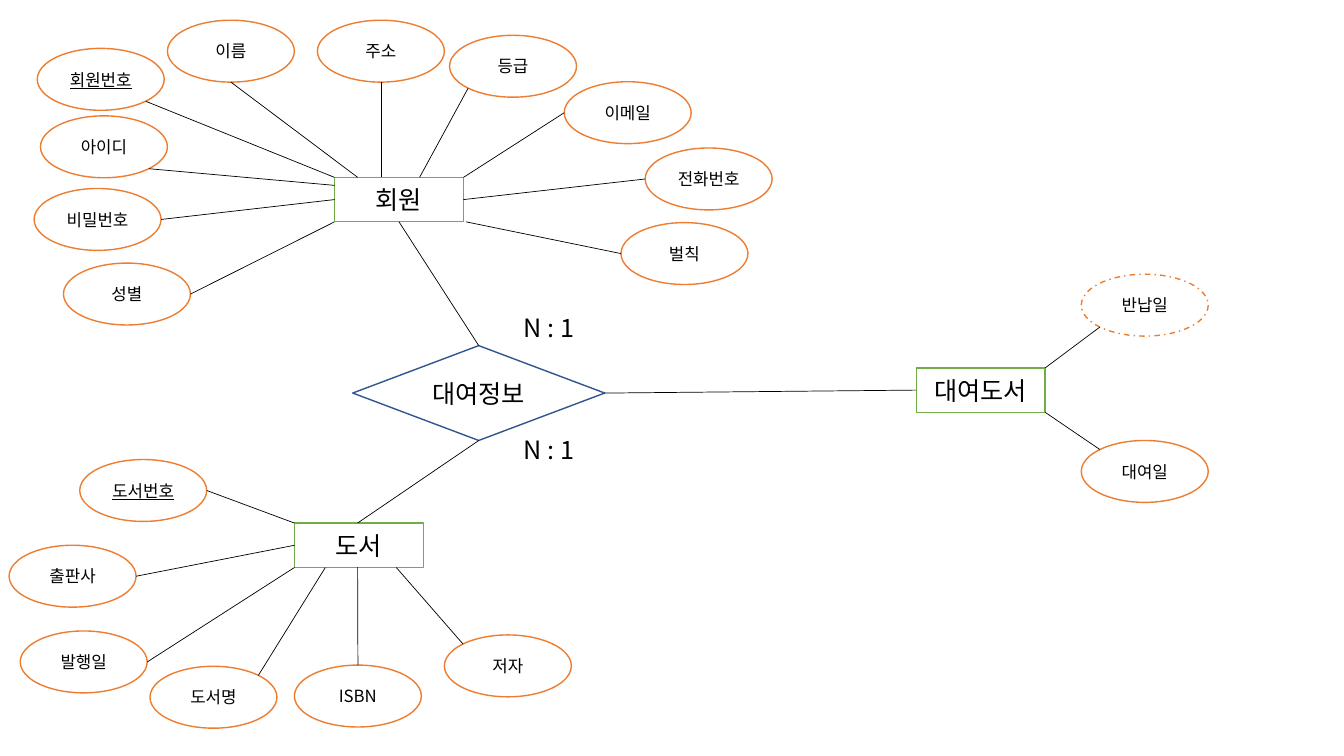
"""Build an entity-relationship diagram of a library lending system."""
from dataclasses import dataclass
from math import cos, radians, sin

from lxml.etree import SubElement
from pptx import Presentation
from pptx.dml.color import RGBColor
from pptx.enum.dml import MSO_LINE_DASH_STYLE as Dash
from pptx.enum.shapes import MSO_CONNECTOR as Connector, MSO_SHAPE as Shape
from pptx.enum.text import MSO_ANCHOR as Anchor, MSO_AUTO_SIZE as AutoSize, PP_ALIGN as Align
from pptx.oxml.ns import qn
from pptx.util import Cm, Pt

RIGHT, LOWER_RIGHT, LOWER_LEFT, BOTTOM = 0, 45, 135, 90
LEFT, UPPER_LEFT, TOP, UPPER_RIGHT = 180, 225, 270, 315

# entity: (left, top), relationship anchors, attributes
# attribute: (name, (left, top), angle on the ellipse, anchor on the entity)
ENTITIES = {
    "회원": ((8.43, 4.47), (0.5, 1), (0.5, 0), [
        ("회원번호", (0.94, 1.22), LOWER_RIGHT, (0, 0)),
        ("이름", (4.22, 0.51), BOTTOM, (0.18, 0)),
        ("아이디", (1.02, 2.92), LOWER_RIGHT, (0, 0.18)),
        ("비밀번호", (0.86, 4.75), RIGHT, (0, 0.5)),
        ("성별", (1.6, 6.63), RIGHT, (0, 1)),
        ("주소", (8, 0.51), BOTTOM, (0.36, 0)),
        ("등급", (11.33, 0.89), LOWER_LEFT, (0.66, 0)),
        ("이메일", (14.22, 2.06), LEFT, (1, 0)),
        ("전화번호", (16.26, 3.73), LEFT, (1, 0.5)),
        ("벌칙", (15.65, 5.61), LEFT, (1.02, 1)),
    ]),
    "도서": ((7.42, 13.18), (0.49, 0), (0.5, 1), [
        ("도서번호", (2.01, 11.58), RIGHT, (0, 0)),
        ("출판사", (0.23, 13.74), RIGHT, (0, 0.5)),
        ("발행일", (0.51, 15.9), RIGHT, (0, 1)),
        ("도서명", (3.78, 16.79), UPPER_RIGHT, (0.24, 1)),
        ("ISBN", (7.42, 16.76), TOP, (0.49, 1)),
        ("저자", (11.2, 16), UPPER_LEFT, (0.79, 1)),
    ]),
    "대여도서": ((23.09, 9.27), (0, 0.5), (1, 0.5), [
        ("대여일", (27.25, 11.1), UPPER_LEFT, (1, 1)),
        ("반납일", (27.25, 6.91), LOWER_LEFT, (1, 0)),
    ]),
}
KEYS = {"회원번호", "도서번호"}
DERIVED = {"반납일"}
RELATIONSHIP = ("대여정보", (8.89, 8.71))
CARDINALITIES = [("N : 1", (12.95, 7.75)), ("N : 1", (12.95, 10.82))]

ENTITY_SIZE = (3.25, 1.12)
ATTRIBUTE_SIZE = (3.2, 1.56)
RELATIONSHIP_SIZE = (6.35, 2.39)
CARDINALITY_SIZE = (1.96, 1.02)


@dataclass(frozen=True)
class Theme:
    """Colours, font and sizes of the diagram."""
    font: str = "Noto Sans CJK KR"
    ink: RGBColor = RGBColor(0, 0, 0)
    paper: RGBColor = RGBColor(255, 255, 255)
    entity: RGBColor = RGBColor.from_string("70AD47")
    attribute: RGBColor = RGBColor.from_string("ED7D31")
    relationship: RGBColor = RGBColor.from_string("325491")
    large: Pt = Pt(18)
    small: Pt = Pt(12)
    outline: Pt = Pt(1)
    link: Pt = Pt(0.5)


THEME = Theme()


def write(frame, text, size, underline=None):
    """Put one styled paragraph in a text frame."""
    paragraph = frame.paragraphs[0]
    paragraph.text = text
    font = paragraph.font
    font.size, font.name, font.underline = size, THEME.font, underline
    font.color.rgb = THEME.ink
    properties = paragraph._p.find(".//" + qn("a:defRPr"))
    SubElement(properties, qn("a:ea")).set("typeface", THEME.font)
    return paragraph


def add_node(slide, kind, name, corner, extent, colour, size, filled=True):
    """Draw an outlined shape with a centred name."""
    node = slide.shapes.add_shape(kind, *map(Cm, corner + extent))
    node.shadow.inherit = False
    if filled:
        node.fill.solid()
        node.fill.fore_color.rgb = THEME.paper
    else:
        node.fill.background()
    node.line.color.rgb = colour
    node.line.width = THEME.outline
    if name in DERIVED:
        node.line.dash_style = Dash.DASH_DOT
    node.text_frame.vertical_anchor = Anchor.MIDDLE
    write(node.text_frame, name, size, name in KEYS or None).alignment = Align.CENTER


def point_in(corner, extent, anchor):
    """Find the point at a fraction of a box."""
    return tuple(c + e * a for c, e, a in zip(corner, extent, anchor))


def point_on_ellipse(corner, angle):
    """Find the point of an attribute outline at an angle."""
    turn = radians(angle)
    return point_in(corner, ATTRIBUTE_SIZE, (0.5 + cos(turn) / 2, 0.5 + sin(turn) / 2))


def add_link(slide, start, end):
    """Join two points with a thin line."""
    link = slide.shapes.add_connector(Connector.STRAIGHT, *map(Cm, start + end))
    link.line.color.rgb = THEME.ink
    link.line.width = THEME.link
    SubElement(link._element.spPr, qn("a:effectLst"))


def add_entity(slide, name, corner, attributes):
    """Draw an entity with its attributes and their links."""
    add_node(slide, Shape.RECTANGLE, name, corner, ENTITY_SIZE, THEME.entity, THEME.large)
    for attribute, spot, angle, anchor in attributes:
        add_node(slide, Shape.OVAL, attribute, spot, ATTRIBUTE_SIZE, THEME.attribute, THEME.small)
        add_link(slide, point_on_ellipse(spot, angle), point_in(corner, ENTITY_SIZE, anchor))


def add_cardinality(slide, label, corner):
    """Write a cardinality label."""
    frame = slide.shapes.add_textbox(*map(Cm, corner + CARDINALITY_SIZE)).text_frame
    frame.word_wrap = False
    frame.auto_size = AutoSize.SHAPE_TO_FIT_TEXT
    write(frame, label, THEME.large)


def main():
    """Build and save the slide."""
    deck = Presentation()
    deck.slide_width, deck.slide_height = Cm(33.87), Cm(19.05)
    slide = deck.slides.add_slide(deck.slide_layouts[6])
    relationship, centre_corner = RELATIONSHIP
    add_node(slide, Shape.FLOWCHART_DECISION, relationship, centre_corner,
             RELATIONSHIP_SIZE, THEME.relationship, THEME.large, filled=False)
    for entity, (corner, own_anchor, far_anchor, attributes) in ENTITIES.items():
        add_entity(slide, entity, corner, attributes)
        add_link(slide, point_in(corner, ENTITY_SIZE, own_anchor),
                 point_in(centre_corner, RELATIONSHIP_SIZE, far_anchor))
    for label, corner in CARDINALITIES:
        add_cardinality(slide, label, corner)
    deck.save("out.pptx")


if __name__ == "__main__":
    main()
